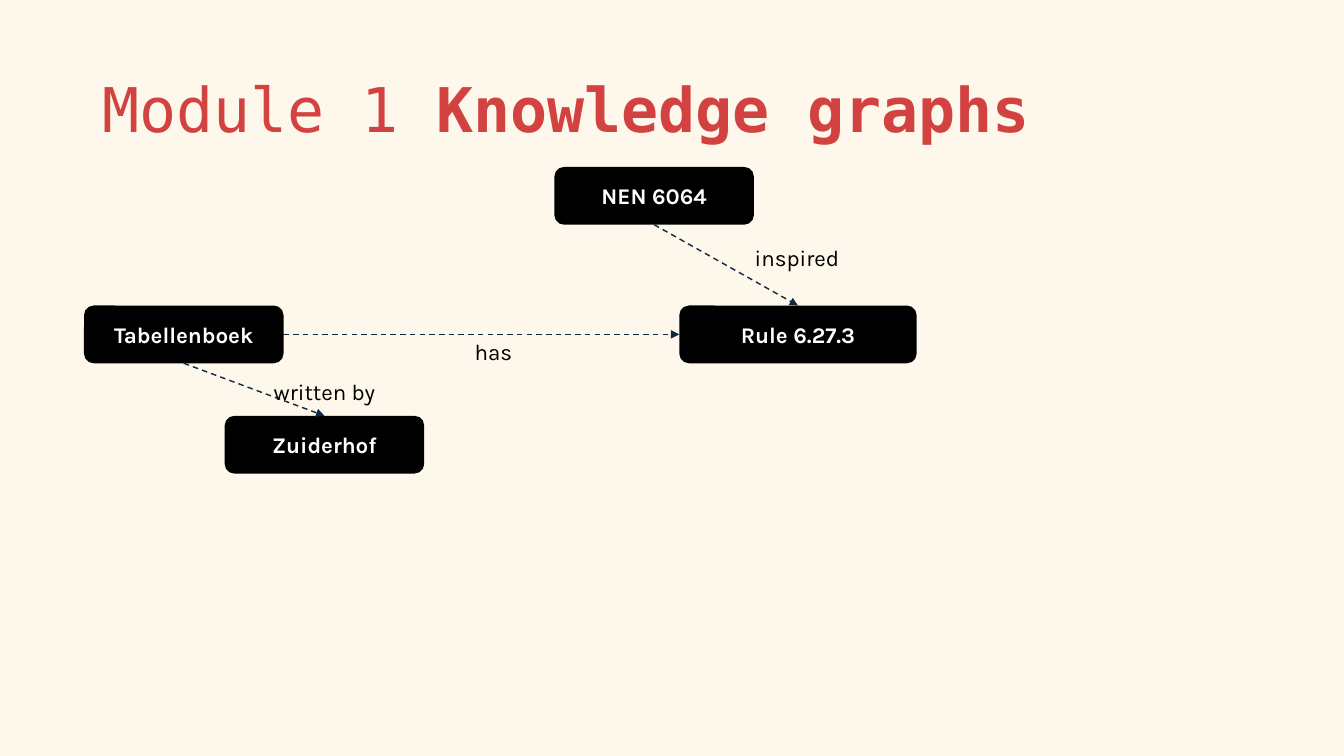
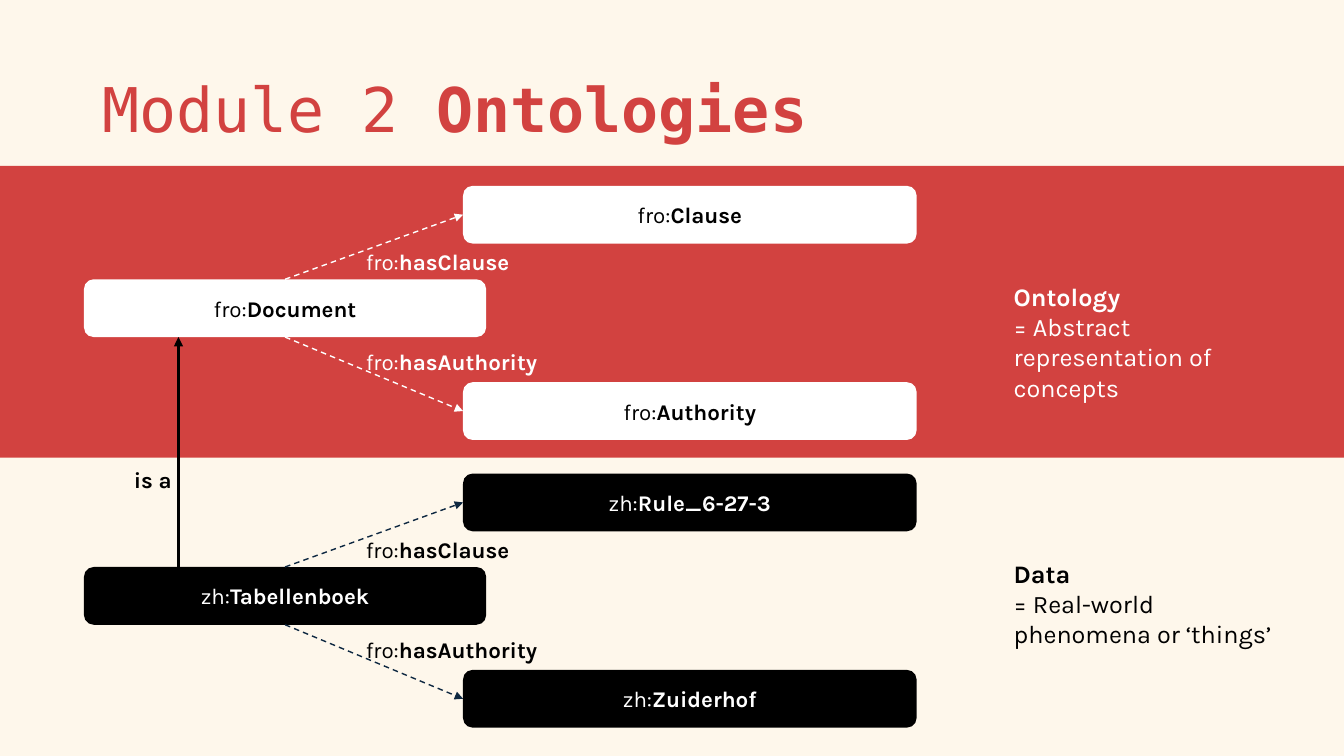
import dataclasses

import lxml.etree
import pptx
import pptx.dml.color
import pptx.enum.dml
import pptx.enum.shapes
import pptx.enum.text
import pptx.oxml.ns
import pptx.util

SHAPE = pptx.enum.shapes.MSO_SHAPE
ALIGN = pptx.enum.text.PP_ALIGN
ANCHOR = pptx.enum.text.MSO_ANCHOR
TOP, LEFT, BOTTOM, RIGHT = range(4)


@dataclasses.dataclass(frozen=True)
class Theme:
    cream: str = "FEF7EB"
    red: str = "D24240"
    navy: str = "0E2841"
    black: str = "000000"
    white: str = "FFFFFF"
    title_font: str = "DejaVu Sans Mono"
    body_font: str = "Karla"
    title_size: int = 44
    note_size: int = 18
    body_size: int = 16
    thin: float = 1
    thick: float = 2.25


THEME = Theme()
EMU_PER_PX = 9525
SLIDE_SIZE = (1280, 720)
TITLE_AREA = (88, 38, 1104, 139)
BAND_AREA = (0, 158, 1280, 278)
NODE_HEIGHT = 55
LABEL_HEIGHT = 35

GRAPH_TITLE = ("Module 1 ", "Knowledge graphs")
GRAPH_NODES = {
    "Tabellenboek": (80, 291, 190),
    "Rule 6.27.3": (647, 291, 226),
    "NEN 6064": (528, 159, 190),
    "Zuiderhof": (214, 396, 190),
}
GRAPH_EDGES = [
    ("Tabellenboek", RIGHT, "Rule 6.27.3", LEFT),
    ("NEN 6064", BOTTOM, "Rule 6.27.3", TOP),
    ("Tabellenboek", BOTTOM, "Zuiderhof", TOP),
]
GRAPH_LABELS = [("has", 375, 317), ("inspired", 664, 228), ("written by", 214, 355)]
GRAPH_LABEL_WIDTH = 190

ONTOLOGY_TITLE = ("Module 2 ", "Ontologies")
TRIO_AREAS = [(80, 266, 383), (441, 177, 432), (441, 364, 432)]
TRIO_LABELS = [("hasClause", TOP, 232), ("hasAuthority", BOTTOM, 327)]
TRIO_LABEL_LEFT, TRIO_LABEL_WIDTH = 339, 362
LAYERS = [
    {
        "prefix": "fro:", "names": ["Document", "Clause", "Authority"], "shift": 0,
        "fill": THEME.white, "ink": THEME.black, "line": THEME.white, "label": THEME.white,
        "note": ("Ontology", "= Abstract representation of concepts"), "note_top": 263,
    },
    {
        "prefix": "zh:", "names": ["Tabellenboek", "Rule_6-27-3", "Zuiderhof"], "shift": 274,
        "fill": THEME.black, "ink": THEME.white, "line": THEME.navy, "label": THEME.black,
        "note": ("Data", "= Real-world phenomena or ‘things’"), "note_top": 527,
    },
]
NOTE_LEFT, NOTE_WIDTH, NOTE_HEIGHT = 956, 286, 97
IS_A_X = 170
IS_A_LABEL = (118, 439, 79, LABEL_HEIGHT)


def px(*lengths):
    return [pptx.util.Emu(length * EMU_PER_PX) for length in lengths]


def rgb(color):
    return pptx.dml.color.RGBColor.from_string(color)


def write(shape, paragraphs, color, align=ALIGN.LEFT, anchor=ANCHOR.TOP,
          size=THEME.body_size, font=THEME.body_font, spacing=None):
    frame = shape.text_frame
    frame.word_wrap = True
    frame.vertical_anchor = anchor
    for index, spans in enumerate(paragraphs):
        para = frame.add_paragraph() if index else frame.paragraphs[0]
        para.alignment = align
        para.line_spacing = spacing
        for text, bold in spans:
            span = para.add_run()
            span.text = text
            span.font.name = font
            span.font.size = pptx.util.Pt(size)
            span.font.bold = bold
            span.font.color.rgb = rgb(color)


def add_text(page, area, paragraphs, color, **style):
    write(page.shapes.add_textbox(*px(*area)), paragraphs, color, **style)


def add_block(page, kind, area, fill):
    block = page.shapes.add_shape(kind, *px(*area))
    block.shadow.inherit = False
    block.fill.solid()
    block.fill.fore_color.rgb = rgb(fill)
    block.line.fill.background()
    return block


def add_node(page, area, spans, fill, ink):
    node = add_block(page, SHAPE.ROUNDED_RECTANGLE, (*area, NODE_HEIGHT), fill)
    write(node, [spans], ink, ALIGN.CENTER, ANCHOR.MIDDLE)
    return node


def add_arrow(page, color, width, ends=(0, 0, 0, 0)):
    arrow = page.shapes.add_connector(pptx.enum.shapes.MSO_CONNECTOR.STRAIGHT, *px(*ends))
    arrow.line.color.rgb = rgb(color)
    arrow.line.width = pptx.util.Pt(width)
    return arrow


def finish_arrow(arrow):
    qn = pptx.oxml.ns.qn
    properties = arrow.line._get_or_add_ln().getparent()
    lxml.etree.SubElement(properties.find(qn("a:ln")), qn("a:tailEnd"), type="triangle")
    lxml.etree.SubElement(properties, qn("a:effectLst"))


def join(page, source, source_side, target, target_side, color):
    arrow = add_arrow(page, color, THEME.thin)
    arrow.line.dash_style = pptx.enum.dml.MSO_LINE.DASH
    arrow.begin_connect(source, source_side)
    arrow.end_connect(target, target_side)
    finish_arrow(arrow)


def add_page(deck, title, band=False):
    page = deck.slides.add_slide(deck.slide_layouts[6])
    if band:
        add_block(page, SHAPE.RECTANGLE, BAND_AREA, THEME.red)
    module, topic = title
    add_text(page, TITLE_AREA, [[(module, False), (topic, True)]], THEME.red,
             anchor=ANCHOR.MIDDLE, size=THEME.title_size, font=THEME.title_font, spacing=0.9)
    return page


def build_graph(deck):
    page = add_page(deck, GRAPH_TITLE)
    nodes = {name: add_node(page, area, [(name, True)], THEME.black, THEME.white)
             for name, area in GRAPH_NODES.items()}
    for source, source_side, target, target_side in GRAPH_EDGES:
        join(page, nodes[source], source_side, nodes[target], target_side, THEME.navy)
    for text, left, top in GRAPH_LABELS:
        add_text(page, (left, top, GRAPH_LABEL_WIDTH, LABEL_HEIGHT), [[(text, False)]],
                 THEME.black, align=ALIGN.CENTER)


def build_layer(page, layer):
    shift = layer["shift"]
    document, *targets = [
        add_node(page, (left, top + shift, width), [(layer["prefix"], False), (name, True)],
                 layer["fill"], layer["ink"])
        for name, (left, top, width) in zip(layer["names"], TRIO_AREAS)
    ]
    for target, (relation, side, top) in zip(targets, TRIO_LABELS):
        join(page, document, side, target, LEFT, layer["line"])
        add_text(page, (TRIO_LABEL_LEFT, top + shift, TRIO_LABEL_WIDTH, LABEL_HEIGHT),
                 [[("fro:", False), (relation, True)]], layer["label"])
    heading, meaning = layer["note"]
    add_text(page, (NOTE_LEFT, layer["note_top"], NOTE_WIDTH, NOTE_HEIGHT),
             [[(heading, True)], [(meaning, False)]], layer["label"], size=THEME.note_size)


def build_ontology(deck):
    page = add_page(deck, ONTOLOGY_TITLE, band=True)
    for layer in LAYERS:
        build_layer(page, layer)
    concept_top, data_top = [TRIO_AREAS[0][1] + layer["shift"] for layer in LAYERS]
    finish_arrow(add_arrow(page, THEME.black, THEME.thick,
                           (IS_A_X, data_top, IS_A_X, concept_top + NODE_HEIGHT)))
    add_text(page, IS_A_LABEL, [[("is a", True)]], THEME.black)


def main():
    deck = pptx.Presentation()
    deck.slide_width, deck.slide_height = px(*SLIDE_SIZE)
    backdrop = deck.slide_master.background.fill
    backdrop.solid()
    backdrop.fore_color.rgb = rgb(THEME.cream)
    build_graph(deck)
    build_ontology(deck)
    deck.save("out.pptx")


if __name__ == "__main__":
    main()
